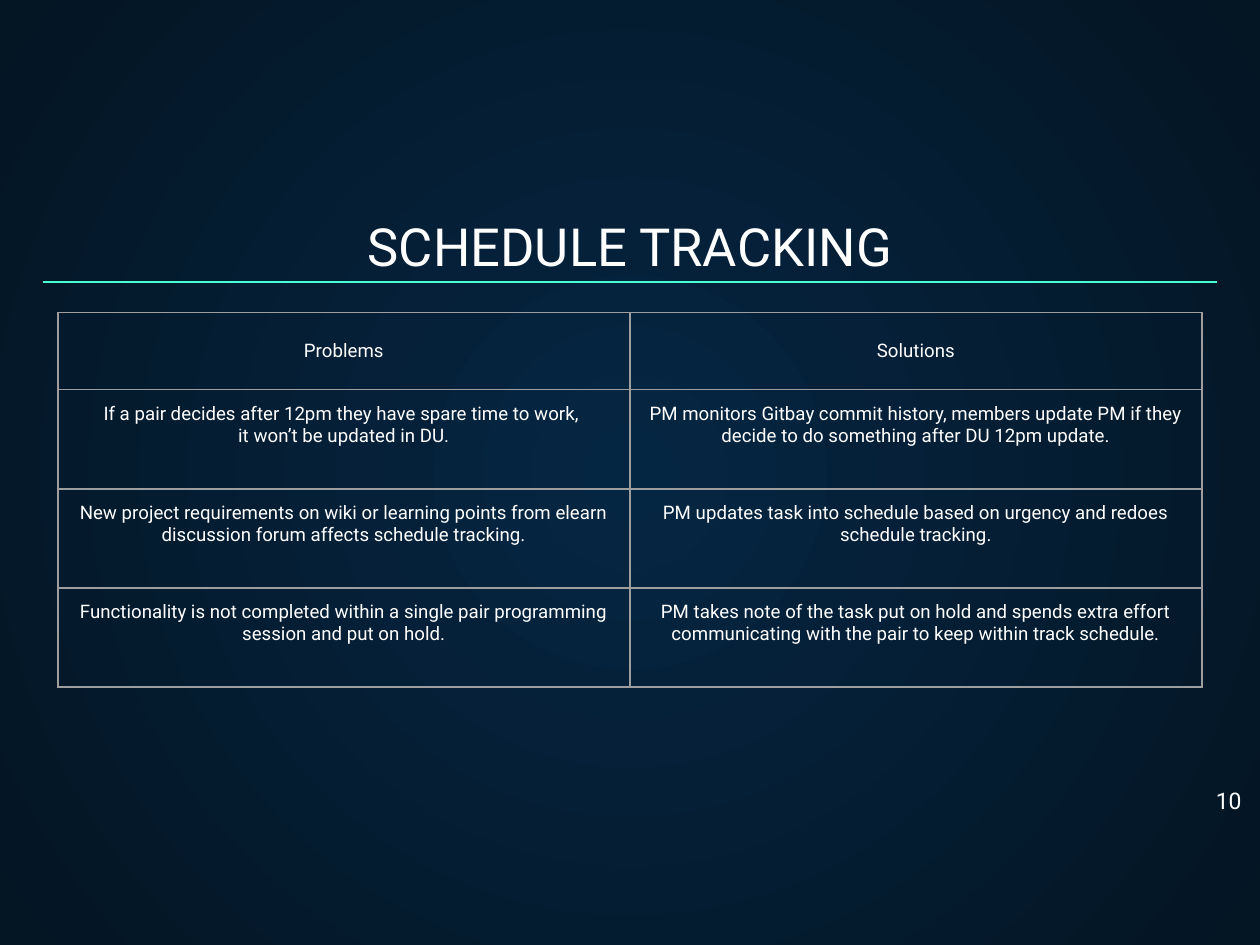
from copy import deepcopy

from lxml.etree import SubElement
from pptx import Presentation
from pptx.dml.color import RGBColor
from pptx.enum.shapes import MSO_CONNECTOR
from pptx.enum.text import MSO_ANCHOR, PP_ALIGN
from pptx.oxml.ns import qn
from pptx.util import Inches, Pt

FONT = "Roboto"
WHITE = "FFFFFF"
WIDE = 7.5
HIGH = WIDE * 3 / 4
INSET = Inches(0.08)
HEADS = ("Problems", "Solutions")
ROWS = [
    HEADS,
    ("If a pair decides after 12pm they have spare time to work, \nit won’t be updated in DU.",
     "PM monitors Gitbay commit history, members update PM if they decide to do something "
     "after DU 12pm update."),
    ("New project requirements on wiki or learning points from elearn discussion forum "
     "affects schedule tracking.",
     "PM updates task into schedule based on urgency and redoes schedule tracking."),
    ("Functionality is not completed within a single pair programming session and put on hold.",
     "PM takes note of the task put on hold and spends extra effort communicating with the "
     "pair to keep within track schedule."),
]


def color(code):
    return RGBColor.from_string(code)


def center(width):
    """Return the left edge that centres a width on the slide."""
    return (WIDE - width) / 2


def write(frame, text, size=8, align=PP_ALIGN.CENTER, fill=WHITE):
    """Fill the first paragraph; line breaks take the format of the runs."""
    par = frame.paragraphs[0]
    par.text = text
    par.alignment = align
    for run in par.runs:
        run.font.name = FONT
        run.font.size = Pt(size)
        run.font.color.rgb = color(fill)
    for gap in par._p.findall(qn("a:br")):
        gap.append(deepcopy(par.runs[0]._r.rPr))


def inset(item):
    """Set equal margins on a text frame or a table cell."""
    item.margin_left = item.margin_right = INSET
    item.margin_top = item.margin_bottom = INSET


def add_text(slide, text, left, top, width, height, anchor=MSO_ANCHOR.TOP, **style):
    frame = slide.shapes.add_textbox(
        Inches(left), Inches(top), Inches(width), Inches(height)).text_frame
    frame.word_wrap = True
    frame.vertical_anchor = anchor
    inset(frame)
    write(frame, text, **style)


def add_rule(slide, left, right, top, stroke, width):
    rule = slide.shapes.add_connector(
        MSO_CONNECTOR.STRAIGHT, Inches(left), Inches(top), Inches(right), Inches(top))
    rule.line.color.rgb = color(stroke)
    rule.line.width = Pt(width)
    SubElement(rule._element.spPr, qn("a:effectLst"))


def set_back(slide, inner, outer):
    """Give the slide a round gradient from its centre."""
    fill = slide.background.fill
    fill.gradient()
    for stop, code, place in zip(fill.gradient_stops, (inner, outer), (0, 1)):
        stop.color.rgb = color(code)
        stop.position = place
    grad = slide.element.find(".//" + qn("a:gradFill"))
    grad.remove(grad.find(qn("a:lin")))
    round_path = SubElement(grad, qn("a:path"), path="circle")
    SubElement(round_path, qn("a:fillToRect"), {side: "50000" for side in "ltrb"})


def add_edges(cell, stroke, width):
    props = cell._tc.get_or_add_tcPr()
    for spot, side in enumerate(("lnL", "lnR", "lnT", "lnB")):
        edge = SubElement(props, qn("a:" + side), w=str(Pt(width)))
        solid = SubElement(edge, qn("a:solidFill"))
        SubElement(solid, qn("a:srgbClr"), val=stroke)
        props.insert(spot, edge)


def add_grid(slide, rows, left, top, width, heights):
    table = slide.shapes.add_table(
        len(rows), len(rows[0]), Inches(left), Inches(top),
        Inches(width), Inches(sum(heights))).table
    table.first_row = table.horz_banding = False
    for row, height, texts in zip(table.rows, heights, rows):
        row.height = Inches(height)
        for cell, text in zip(row.cells, texts):
            cell.fill.background()
            inset(cell)
            cell.vertical_anchor = MSO_ANCHOR.MIDDLE if text in HEADS else MSO_ANCHOR.TOP
            write(cell.text_frame, text)
            add_edges(cell, "9E9E9E", 0.75)


def main():
    deck = Presentation()
    deck.slide_width, deck.slide_height = Inches(WIDE), Inches(HIGH)
    slide = deck.slides.add_slide(deck.slide_layouts[6])
    set_back(slide, "052643", "041523")
    span, body = 6.99, 6.81
    edge = center(span)
    add_text(slide, "SCHEDULE TRACKING", edge, 1.23, span, 0.5,
             anchor=MSO_ANCHOR.BOTTOM, size=22.5)
    add_rule(slide, edge, edge + span, 1.68, "48FFD5", 0.75)
    add_text(slide, "10", 7.02, 4.6, 0.45, 0.32, size=9.8, align=PP_ALIGN.RIGHT)
    add_grid(slide, ROWS, center(body), 1.86, body, [0.46] + [0.59] * 3)
    deck.save("out.pptx")


if __name__ == "__main__":
    main()
